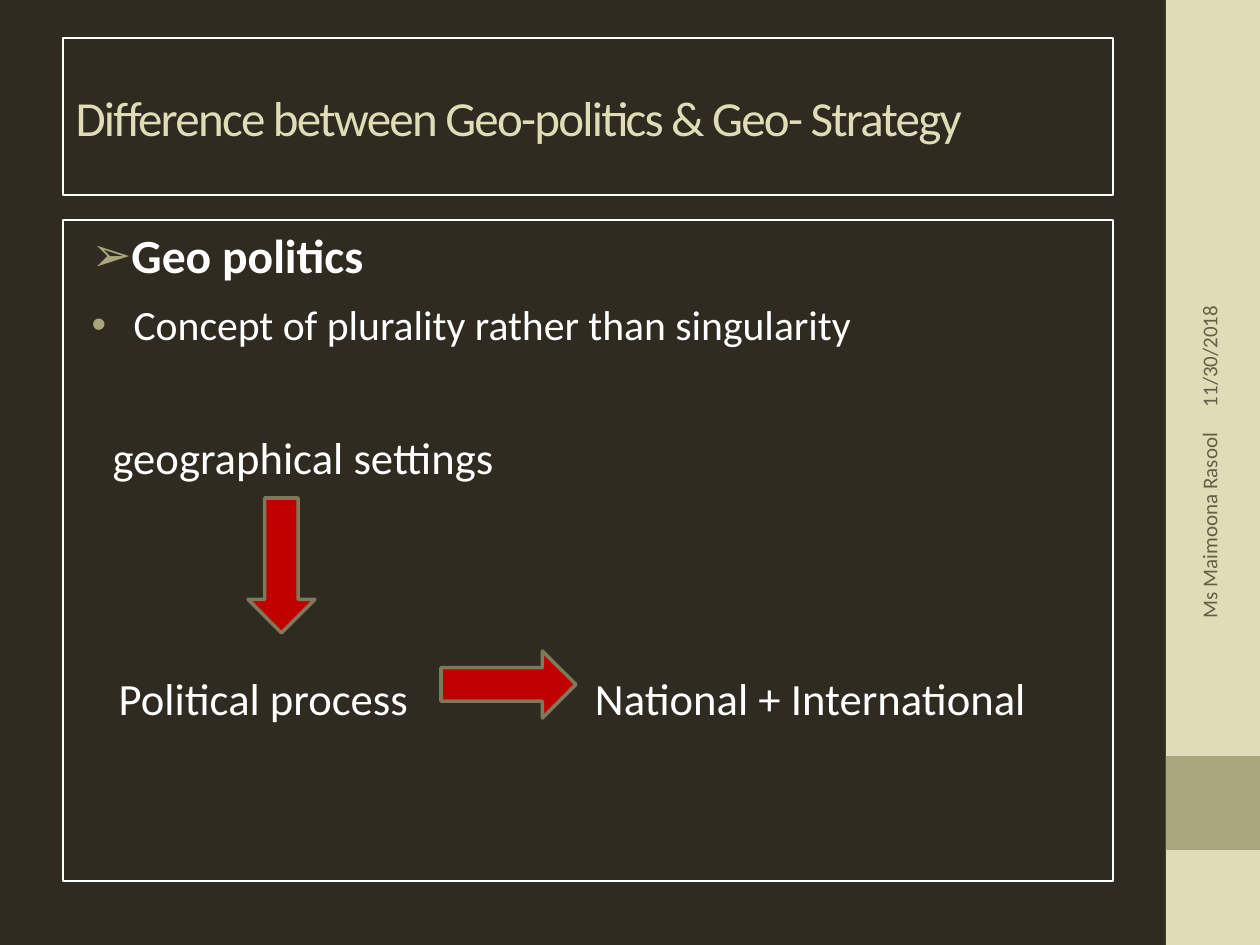
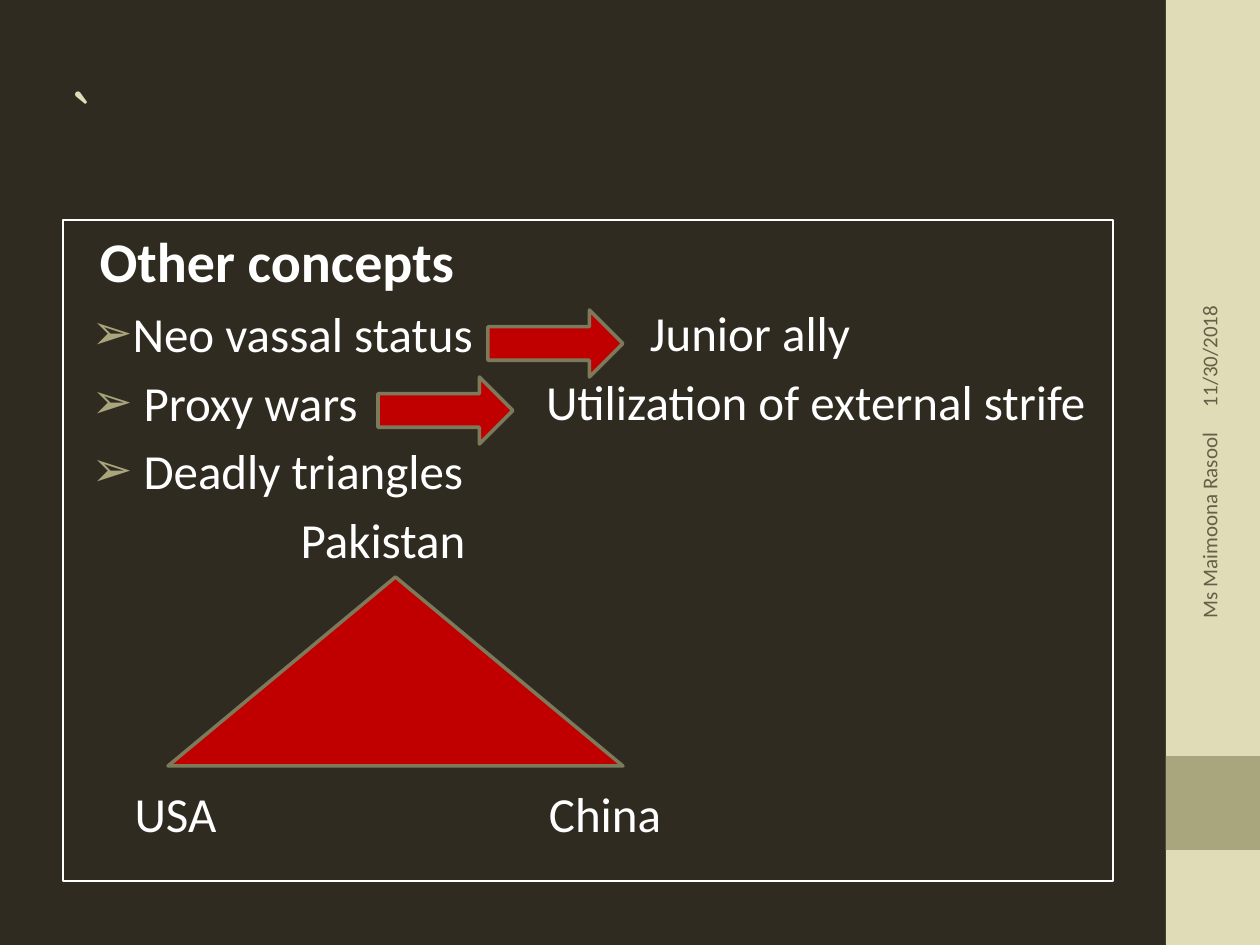
"""Build two slides on geo-politics with a shared side band, title style and footer."""
from dataclasses import dataclass
from typing import Optional

from lxml import etree
from pptx import Presentation
from pptx import util as u
from pptx.dml.color import RGBColor
from pptx.enum import shapes, text
from pptx.oxml import ns

SCALE = 914400 / 126
BACKGROUND = RGBColor(0x2F, 0x2B, 0x20)
CREAM = RGBColor(0xDF, 0xDC, 0xB7)
OLIVE = RGBColor(0xA9, 0xA5, 0x7C)
OUTLINE = RGBColor(0x7D, 0x7A, 0x5C)
FOOTER = RGBColor(0x67, 0x5E, 0x47)
RED = RGBColor(0xC0, 0x00, 0x00)
WHITE = RGBColor(0xFF, 0xFF, 0xFF)
FONT = "Calibri"
BULLET_LEFT = 16


@dataclass(frozen=True)
class Box:
    left: int
    top: int
    width: int
    height: int

    def emu(self) -> tuple[int, ...]:
        return tuple(px(n) for n in (self.left, self.top, self.width, self.height))


@dataclass(frozen=True)
class Heading:
    words: str
    size: float
    font: str = FONT
    framed: bool = True


@dataclass(frozen=True)
class Line:
    words: str
    size: float
    margin: int
    before: float = 5.6
    bullet: str = ""
    bold: bool = False


@dataclass(frozen=True)
class Figure:
    kind: shapes.MSO_SHAPE
    box: Box
    fill: RGBColor = RED
    outline: Optional[RGBColor] = OUTLINE


@dataclass(frozen=True)
class Label:
    words: str
    box: Box
    size: float
    color: RGBColor = WHITE
    rotation: int = 0
    align: text.PP_ALIGN = text.PP_ALIGN.LEFT
    anchor: text.MSO_ANCHOR = text.MSO_ANCHOR.TOP
    inset: int = 0


@dataclass(frozen=True)
class Page:
    heading: Heading
    lines: tuple[Line, ...]
    figures: tuple[Figure, ...]
    labels: tuple[Label, ...]


TITLE_BOX = Box(63, 38, 1050, 157)
BODY_BOX = Box(63, 220, 1050, 661)
RECT = shapes.MSO_SHAPE.RECTANGLE
RIGHT_ARROW = shapes.MSO_SHAPE.RIGHT_ARROW
MIDDLE = text.MSO_ANCHOR.MIDDLE

BANDS = (
    Figure(RECT, Box(1166, 0, 94, 945), CREAM, None),
    Figure(RECT, Box(1166, 756, 94, 94), OLIVE, None),
)
FOOTERS = (
    Label("11/30/2018", Box(1041, 227, 336, 50), 12, FOOTER, 270,
          anchor=MIDDLE, inset=13),
    Label("Ms Maimoona Rasool", Box(1046, 558, 326, 50), 12, FOOTER, 270,
          text.PP_ALIGN.RIGHT, MIDDLE, 13),
)
PAGES = (
    Page(
        Heading("Difference between Geo-politics & Geo- Strategy", 28),
        (
            Line("Geo politics", 27.2, 48, 2, "➢", True),
            Line("Concept of plurality rather than singularity", 23.8, 58, 9, "•"),
            Line("geographical settings", 25.5, 37, 46),
            Line("Political process", 25.5, 43, 107),
        ),
        (
            Figure(shapes.MSO_SHAPE.DOWN_ARROW, Box(248, 498, 67, 135)),
            Figure(RIGHT_ARROW, Box(441, 651, 135, 67)),
        ),
        (Label("National + International", Box(595, 671, 470, 55), 25.5),),
    ),
    Page(
        Heading("`", 46, "Cambria", False),
        (
            Line("Other concepts", 32, 24, 2, bold=True),
            Line("Neo vassal status", 28, 48, bullet="➢"),
            Line("Proxy wars", 28, 68, bullet="➢"),
            Line("Deadly triangles", 28, 68, bullet="➢"),
            Line("Pakistan", 28, 225),
            Line("USA", 28, 59, 123),
        ),
        (
            Figure(RIGHT_ARROW, Box(488, 310, 135, 67)),
            Figure(shapes.MSO_SHAPE.ISOSCELES_TRIANGLE, Box(168, 577, 455, 189)),
            Figure(RIGHT_ARROW, Box(378, 377, 135, 67)),
        ),
        (
            Label("Junior ally", Box(650, 303, 220, 60), 28),
            Label("Utilization of external strife", Box(546, 372, 560, 60), 28),
            Label("China", Box(549, 784, 160, 60), 28),
        ),
    ),
)


def px(length: int) -> int:
    """Turn px into EMU."""
    return round(length * SCALE)


def place(shape, box: Box) -> None:
    """Move and size a placeholder."""
    shape.left, shape.top, shape.width, shape.height = box.emu()


def style_runs(paragraph, size: float, color: RGBColor, font: str = FONT,
               bold: bool = False) -> None:
    """Format every run of a paragraph."""
    for run in paragraph.runs:
        run.font.size = u.Pt(size)
        run.font.name = font
        run.font.bold = bold
        run.font.color.rgb = color


def draw_frame(shape) -> None:
    """Give a placeholder its thin white outline."""
    shape.line.color.rgb = WHITE
    shape.line.width = u.Pt(0.75)


def add_child(parent, tag: str, **attributes: str):
    """Append a DrawingML element."""
    return etree.SubElement(parent, ns.qn(tag), attributes)


def fill_title(title, heading: Heading) -> None:
    """Write the slide title."""
    place(title, TITLE_BOX)
    frame = title.text_frame
    frame.text = heading.words
    frame.auto_size = text.MSO_AUTO_SIZE.NONE
    frame.vertical_anchor = MIDDLE
    paragraph = frame.paragraphs[0]
    paragraph.alignment = text.PP_ALIGN.LEFT
    style_runs(paragraph, heading.size, CREAM, heading.font)
    for run in paragraph.runs:
        run.font._element.set("spc", "-100")
    if heading.framed:
        draw_frame(title)


def format_line(paragraph, line: Line) -> None:
    """Set the spacing, indent and bullet of a body line."""
    paragraph.space_before = u.Pt(line.before)
    style_runs(paragraph, line.size, WHITE, bold=line.bold)
    properties = paragraph._p.get_or_add_pPr()
    indent = BULLET_LEFT - line.margin if line.bullet else 0
    properties.set("marL", str(px(line.margin)))
    properties.set("indent", str(px(indent)))
    if line.bullet:
        color = add_child(properties, "a:buClr")
        add_child(color, "a:srgbClr", val=str(OLIVE))
        add_child(properties, "a:buFont", typeface="Arial")
        add_child(properties, "a:buChar", char=line.bullet)
    else:
        add_child(properties, "a:buNone")


def fill_body(body, lines: tuple[Line, ...]) -> None:
    """Write the body list."""
    place(body, BODY_BOX)
    draw_frame(body)
    frame = body.text_frame
    frame.auto_size = text.MSO_AUTO_SIZE.NONE
    frame.text = "\n".join(line.words for line in lines)
    for paragraph, line in zip(frame.paragraphs, lines):
        format_line(paragraph, line)


def draw_figure(slide, figure: Figure) -> None:
    """Draw a band, arrow or triangle."""
    shape = slide.shapes.add_shape(figure.kind, *figure.box.emu())
    shape.shadow.inherit = False
    shape.fill.solid()
    shape.fill.fore_color.rgb = figure.fill
    if figure.outline is None:
        shape.line.fill.background()
    else:
        shape.line.color.rgb = figure.outline
        shape.line.width = u.Pt(2)


def draw_label(slide, label: Label) -> None:
    """Draw a free line of text."""
    box = slide.shapes.add_textbox(*label.box.emu())
    box.rotation = label.rotation
    frame = box.text_frame
    frame.word_wrap = True
    frame.vertical_anchor = label.anchor
    frame.margin_left = frame.margin_right = px(label.inset)
    frame.margin_top = frame.margin_bottom = 0
    frame.text = label.words
    frame.paragraphs[0].alignment = label.align
    style_runs(frame.paragraphs[0], label.size, label.color)


def build_page(presentation, page: Page) -> None:
    """Add one slide with its shared and own parts."""
    slide = presentation.slides.add_slide(presentation.slide_layouts[1])
    fill_title(slide.shapes.title, page.heading)
    fill_body(slide.placeholders[1], page.lines)
    for figure in BANDS + page.figures:
        draw_figure(slide, figure)
    for label in page.labels + FOOTERS:
        draw_label(slide, label)


def main() -> None:
    """Build and save the presentation."""
    presentation = Presentation()
    presentation.slide_width = px(1260)
    presentation.slide_height = px(945)
    background = presentation.slide_master.background.fill
    background.solid()
    background.fore_color.rgb = BACKGROUND
    for page in PAGES:
        build_page(presentation, page)
    presentation.save("out.pptx")


if __name__ == "__main__":
    main()
